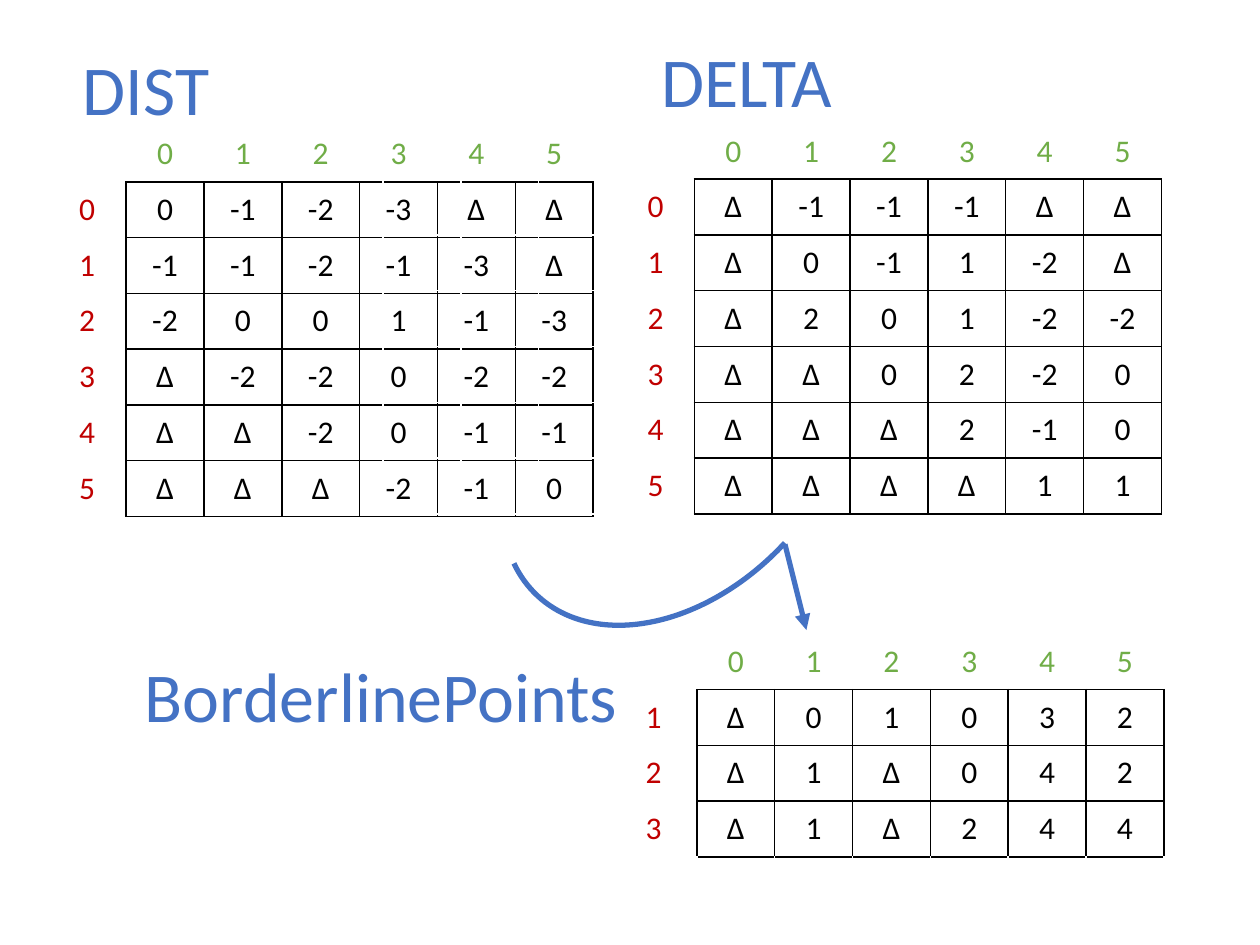
from dataclasses import dataclass

from lxml import etree
from pptx import Presentation
from pptx.dml.color import RGBColor
from pptx.enum.shapes import MSO_CONNECTOR, MSO_SHAPE
from pptx.enum.text import MSO_ANCHOR, MSO_AUTO_SIZE, PP_ALIGN
from pptx.oxml.ns import qn
from pptx.util import Inches, Pt

ARC = MSO_SHAPE.ARC
STRAIGHT = MSO_CONNECTOR.STRAIGHT
CENTER = PP_ALIGN.CENTER
MIDDLE = MSO_ANCHOR.MIDDLE
FIT = MSO_AUTO_SIZE.SHAPE_TO_FIT_TEXT


@dataclass(frozen=True)
class Theme:
    font: str = "Calibri"
    head: int = 40
    body: int = 18
    rule: int = 1
    stroke: int = 3
    blue: str = "4472C4"
    green: str = "70AD47"
    red: str = "C00000"
    black: str = "000000"
    white: str = "FFFFFF"


THEME = Theme()
ROWS, COLS = 7, 10
LEAD = 3  # blank columns before the row numbers

DIST = """0 -1 -2 -3 ∆ ∆
-1 -1 -2 -1 -3 ∆
-2 0 0 1 -1 -3
∆ -2 -2 0 -2 -2
∆ ∆ -2 0 -1 -1
∆ ∆ ∆ -2 -1 0"""

DELTA = """∆ -1 -1 -1 ∆ ∆
∆ 0 -1 1 -2 ∆
∆ 2 0 1 -2 -2
∆ ∆ 0 2 -2 0
∆ ∆ ∆ 2 -1 0
∆ ∆ ∆ ∆ 1 1"""

BORDER = """∆ 0 1 0 3 2
∆ 1 ∆ 0 4 2
∆ 1 ∆ 2 4 4"""


def box(*sides):
    return [Inches(side) for side in sides]


def style(para, size, color):
    para.alignment = CENTER
    para.font.name = THEME.font
    para.font.size = Pt(size)
    para.font.color.rgb = RGBColor.from_string(color)


def set_edge(cell, side, color):
    props = cell._tc.get_or_add_tcPr()
    line = etree.SubElement(props, qn(f"a:ln{side}"), w=str(Pt(THEME.rule)))
    fill = etree.SubElement(line, qn("a:solidFill"))
    etree.SubElement(fill, qn("a:srgbClr"), val=color)


def add_head(slide, text, area):
    shape = slide.shapes.add_textbox(*area)
    frame = shape.text_frame
    frame.word_wrap = False
    frame.auto_size = FIT
    frame.text = text
    style(frame.paragraphs[0], THEME.head, THEME.blue)


def fill_cell(cell, value, color, dark):
    for side in "LRTB":
        set_edge(cell, side, THEME.black if side in dark else THEME.white)
    cell.fill.background()
    cell.vertical_anchor = MIDDLE
    cell.text = value
    style(cell.text_frame.paragraphs[0], THEME.body, color)


def add_grid(slide, text, area, first=0, shift=0):
    """Matrix with green column numbers and red row numbers from first."""
    body = [line.split() for line in text.splitlines()]
    rows = [["", *map(str, range(len(body[0])))]]
    rows += [[str(i), *line] for i, line in enumerate(body, first)]

    table = slide.shapes.add_table(ROWS, COLS, *area).table
    table.first_row = table.horz_banding = False
    table.columns[LEAD - 1].width -= Inches(shift)
    table.columns[LEAD].width += Inches(shift)
    for cell in table.iter_cells():
        cell.fill.background()

    for r, row in enumerate(rows):
        for c, value in enumerate(row):
            # Only edges that touch the matrix are dark
            if r and c:
                dark, color = "LRTB", THEME.black
            elif r:
                dark, color = "R", THEME.red
            else:
                dark, color = "B" if c else "", THEME.green
            cell = table.cell(r, c + LEAD)
            cell._tc.remove(cell._tc.tcPr)
            fill_cell(cell, value, color, dark)

    # The row under a short matrix shares its lower edge
    if len(rows) < ROWS:
        for c in range(LEAD + 1, COLS):
            cell = table.cell(len(rows), c)
            cell._tc.remove(cell._tc.tcPr)
            set_edge(cell, "T", THEME.black)
            cell.fill.background()


def set_stroke(shape):
    shape.line.color.rgb = RGBColor.from_string(THEME.blue)
    shape.line.width = Pt(THEME.stroke)


def add_flow(slide, area):
    """Curve from the upper matrices, ending in an arrow to the lower one."""
    left, top, width, height = area
    curve = slide.shapes.add_shape(ARC, left, top, width, height)
    curve.shadow.inherit = False
    curve.fill.background()
    curve.rotation = 132.7
    curve.adjustments[0] = 162
    curve.adjustments[1] = 6.767
    set_stroke(curve)

    arrow = slide.shapes.add_connector(
        STRAIGHT, left + Inches(2.49), top + Inches(1.95),
        left + Inches(2.66), top + Inches(2.63))
    set_stroke(arrow)
    etree.SubElement(arrow.line._get_or_add_ln(), qn("a:tailEnd"), type="triangle")
    etree.SubElement(arrow._element.spPr, qn("a:effectLst"))


def main():
    deck = Presentation()
    deck.slide_width, deck.slide_height = Inches(10), Inches(7.5)
    slide = deck.slides.add_slide(deck.slide_layouts[6])

    # Matrices
    add_grid(slide, DIST, box(-1.47, 1, 6.18, 3.1))
    add_grid(slide, DELTA, box(3.04, 0.98, 6.18, 3.1))
    add_grid(slide, BORDER, box(3.06, 5.03, 6.18, 3.1), first=1, shift=0.07)

    # Flow between them
    add_flow(slide, box(3.74, 2.37, 3.28, 2.31))

    # Headings
    add_head(slide, "BorderlinePoints", box(1.03, 5.13, 3.99, 0.77))
    add_head(slide, "DIST", box(0.55, 0.31, 1.22, 0.77))
    add_head(slide, "DELTA", box(5.14, 0.25, 1.57, 0.77))

    deck.save("out.pptx")


if __name__ == "__main__":
    main()
